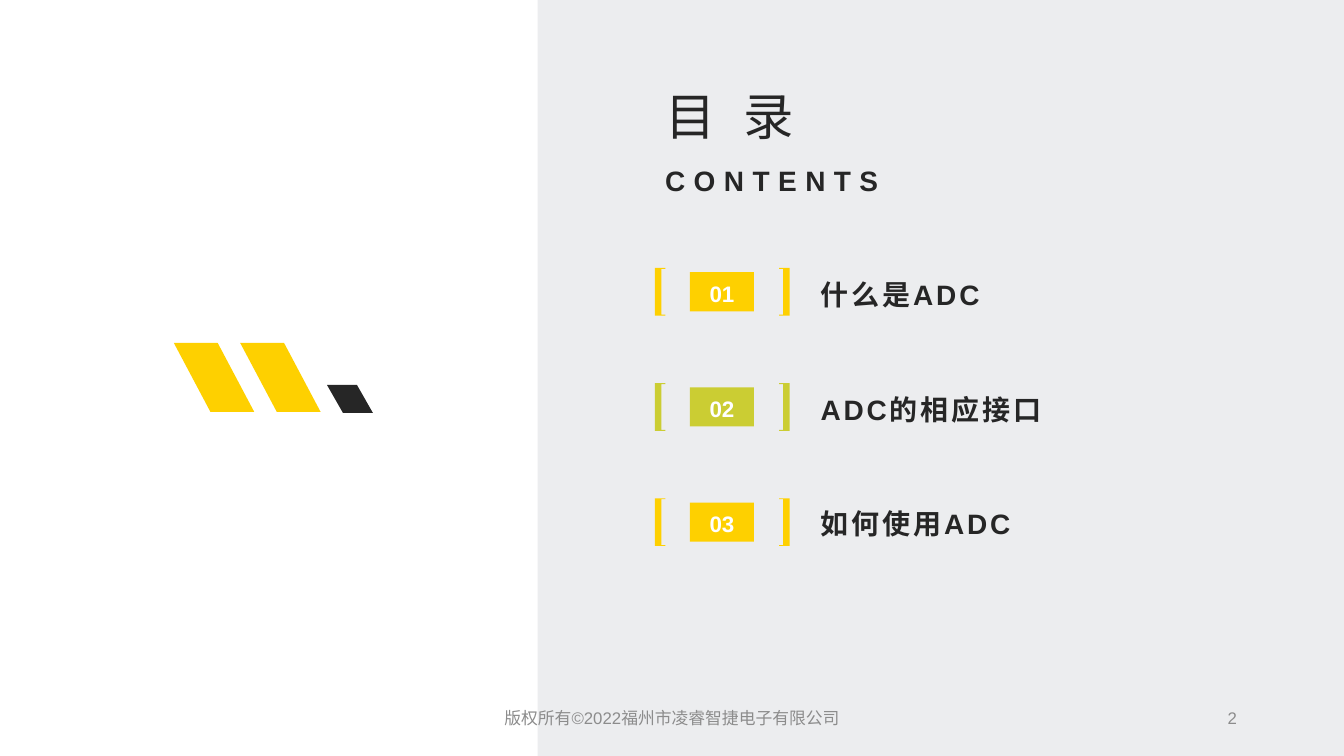
import pptx
import pptx.util
import pptx.dml.color
import pptx.enum.shapes
import pptx.enum.text

Pt = pptx.util.Pt
SHAPE = pptx.enum.shapes.MSO_SHAPE
ALIGN = pptx.enum.text.PP_ALIGN
ANCHOR = pptx.enum.text.MSO_ANCHOR

GOLD, LIME, DARK = "FED000", "CBCD33", "262626"
PALE, GREY, WHITE = "ECEDEF", "8C8C8C", "FFFFFF"


def color(code):
    return pptx.dml.color.RGBColor.from_string(code)


class Deck:
    face = "Arial"

    def __init__(self):
        self.prs = pptx.Presentation()
        self.prs.slide_width, self.prs.slide_height = Pt(960), Pt(540)
        self.slide = self.prs.slides.add_slide(self.prs.slide_layouts[5])
        self.shapes = self.slide.shapes

    def paint(self, shape, fill):
        shape.shadow.inherit = False
        shape.fill.solid()
        shape.fill.fore_color.rgb = color(fill)
        shape.line.fill.background()
        return shape

    def letter(self, shape, text, size, ink=DARK, bold=False, align=ALIGN.LEFT,
               anchor=ANCHOR.MIDDLE, lead=1.0, gap=0):
        """Set one line of text; gap is the letter spacing in points."""
        frame = shape.text_frame
        frame.word_wrap = True
        frame.auto_size = pptx.enum.text.MSO_AUTO_SIZE.NONE
        frame.vertical_anchor = anchor
        para = frame.paragraphs[0]
        run = para.add_run()
        run.text = text
        para.alignment, para.line_spacing = align, lead
        font = para.font
        font.name, font.size, font.bold = self.face, Pt(size), bold
        font.color.rgb = color(ink)
        if gap:
            run.font._element.set("spc", str(gap * 100))

    def block(self, x, y, w, h, fill, kind=SHAPE.RECTANGLE):
        shape = self.shapes.add_shape(kind, Pt(x), Pt(y), Pt(w), Pt(h))
        return self.paint(shape, fill)

    def slant(self, x, y, w, h, fill, lean):
        """Draw a parallelogram that leans to the left."""
        shape = self.block(x, y, w, h, fill, SHAPE.PARALLELOGRAM)
        shape.adjustments[0] = lean
        shape._element.spPr.xfrm.set("flipH", "1")

    def bracket(self, x, y, h, fill, way):
        """Draw a bracket with its outer edge at x, open to the right if way is 1."""
        tip, bar, thin = x + way * 7.4, x + way * 4.6, 0.6
        points = [(x, y), (tip, y), (tip, y + thin), (bar, y + thin),
                  (bar, y + h - thin), (tip, y + h - thin), (tip, y + h), (x, y + h)]
        spots = [(Pt(a), Pt(b)) for a, b in points]
        form = self.shapes.build_freeform(*spots[0])
        form.add_line_segments(spots[1:], close=True)
        self.paint(form.convert_to_shape(), fill)

    def label(self, x, y, w, h, text, size, **style):
        box = self.shapes.add_textbox(Pt(x), Pt(y), Pt(w), Pt(h))
        self.letter(box, text, size, **style)

    def title(self, x, y, w, h, text, size, **style):
        box = self.shapes.title
        box.left, box.top, box.width, box.height = Pt(x), Pt(y), Pt(w), Pt(h)
        self.letter(box, text, size, **style)

    def entry(self, y, num, text, fill, lead):
        self.label(579, y - 15.4, 270, 64, text, 20, bold=True, lead=lead, gap=2)
        self.bracket(467.8, y, 34, fill, 1)
        self.bracket(564, y, 34, fill, -1)
        badge = self.block(492.9, y + 3, 45.7, 28, fill)
        self.letter(badge, num, 16, ink=WHITE, bold=True, align=ALIGN.CENTER, lead=1.1)


def main():
    deck = Deck()
    for x in (124.2, 171.6):
        deck.slant(x, 245, 57.4, 49.2, GOLD, 0.53)
    deck.slant(233.6, 275, 32.8, 20, DARK, 0.57)
    deck.block(384, 0, 576, 540, PALE)

    # The title placeholder comes first in the stack, so lift it above the panel.
    deck.shapes._spTree.append(deck.shapes.title._element)
    deck.title(468, 52.6, 259, 55.4, "目 录", 36, anchor=ANCHOR.TOP, lead=1.1, gap=6)
    deck.label(468, 110.9, 259, 33, "CONTENTS", 20, bold=True, anchor=ANCHOR.TOP,
               lead=1.1, gap=6)

    items = [("什么是ADC", GOLD, 1.2), ("ADC的相应接口", LIME, 1.2),
             ("如何使用ADC", GOLD, 1.1)]
    for i, (text, fill, lead) in enumerate(items):
        deck.entry(191.4 + i * 82.3, f"{i + 1:02}", text, fill, lead)

    deck.label(678, 500, 212.6, 25, "2", 12, ink=GREY, align=ALIGN.RIGHT)
    deck.label(324, 500, 312, 25, "版权所有©2022福州市凌睿智捷电子有限公司", 12,
               ink=GREY, align=ALIGN.CENTER)
    deck.prs.save("out.pptx")


if __name__ == "__main__":
    main()
